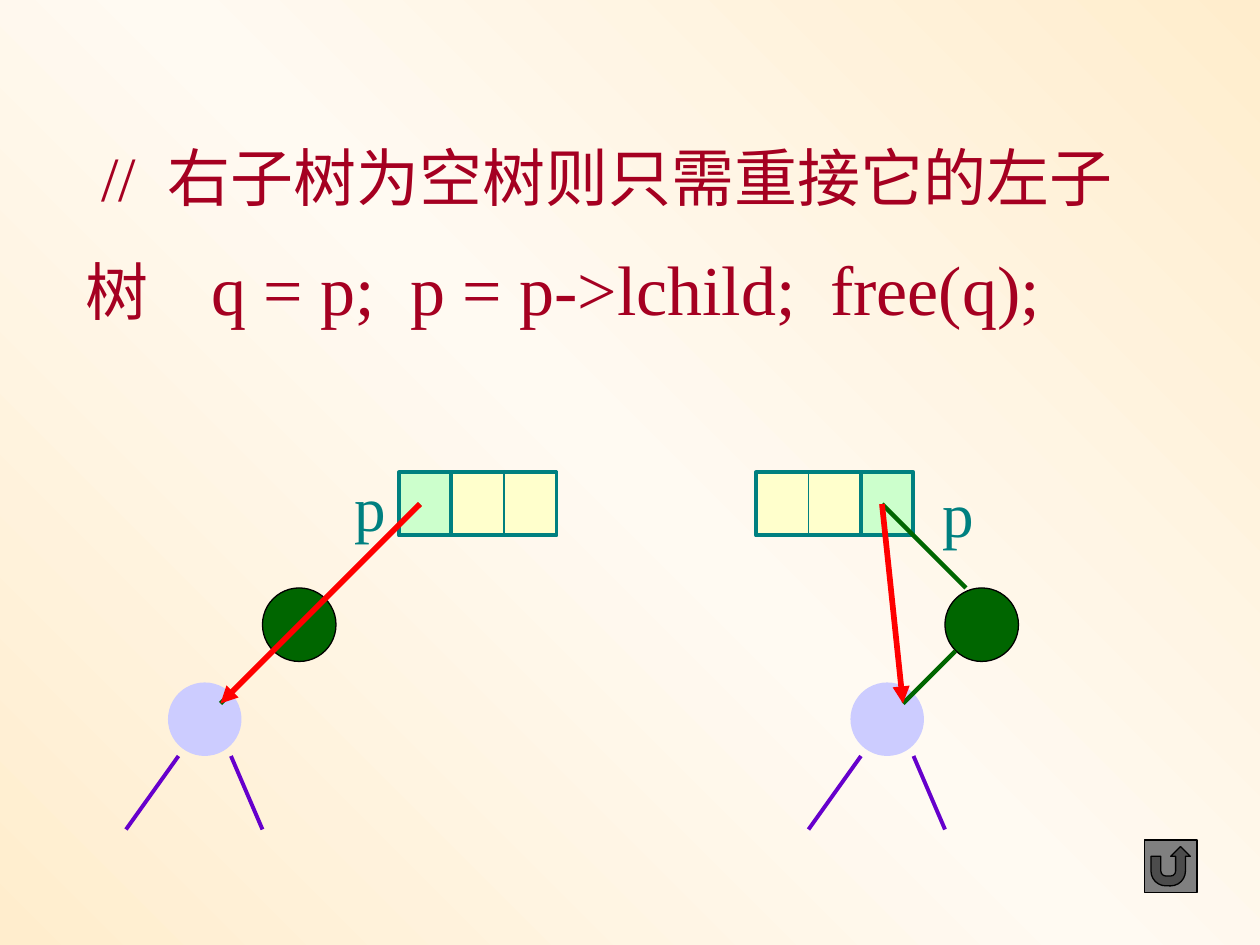
import copy
import pptx
import pptx.util
import pptx.dml.color
import pptx.enum.shapes
import pptx.enum.text
import pptx.oxml.ns
from lxml import etree

SHAPE = pptx.enum.shapes.MSO_SHAPE
FONT = "Times New Roman"
TEAL, GREEN, PURPLE, RED = "008080", "006600", "6600CC", "FF0000"
MAROON = "A50021"
UNIT = 1 / 12  # grid step in inches


def inch(value):
    return pptx.util.Inches(value)


def grid(value):
    return inch(value * UNIT)


def color(hex_string):
    return pptx.dml.color.RGBColor.from_string(hex_string)


def subelement(parent, tag, **attrs):
    return etree.SubElement(parent, pptx.oxml.ns.qn(tag), **attrs)


def add_box(s, kind, x, y, w, h, fill, line=None, width=0.75):
    sp = s.shapes.add_shape(kind, grid(x), grid(y), grid(w), grid(h))
    sp.shadow.inherit = False
    sp.fill.solid()
    sp.fill.fore_color.rgb = color(fill)
    if line:
        sp.line.color.rgb = color(line)
        sp.line.width = pptx.util.Pt(width)
    else:
        sp.line.fill.background()
    return sp


def add_line(s, x1, y1, x2, y2, line, width, arrow=False):
    c = s.shapes.add_connector(pptx.enum.shapes.MSO_CONNECTOR.STRAIGHT,
                               grid(x1), grid(y1), grid(x2), grid(y2))
    c.line.color.rgb = color(line)
    c.line.width = pptx.util.Pt(width)
    if arrow:
        subelement(c.line._get_or_add_ln(), "a:tailEnd", type="triangle")
    subelement(c._element.spPr, "a:effectLst")
    return c


def set_text(sp, text, size, hex_string, wrap=False):
    tf = sp.text_frame
    tf.word_wrap = wrap
    tf.auto_size = pptx.enum.text.MSO_AUTO_SIZE.NONE
    tf.vertical_anchor = pptx.enum.text.MSO_ANCHOR.TOP
    p = tf.paragraphs[0]
    p.text = text
    p.alignment = pptx.enum.text.PP_ALIGN.LEFT
    p.font.name = FONT
    p.font.size = pptx.util.Pt(size)
    p.font.color.rgb = color(hex_string)
    return p


def add_text(s, x, y, w, h, text, size, hex_string):
    sp = s.shapes.add_textbox(inch(x), inch(y), inch(w), inch(h))
    return set_text(sp, text, size, hex_string)


def paint_background(s):
    fill = s.background.fill
    fill.gradient()
    fill.gradient_angle = 45
    stops = fill.gradient_stops
    first = stops[0]._gs
    first.addnext(copy.deepcopy(first))
    for stop, pos, shade in zip(fill.gradient_stops, (0, 0.5, 1),
                                ("FFEDCD", "FFFAF2", "FFEDCD")):
        stop.position = pos
        stop.color.rgb = color(shade)


def add_heading(s, x, y, w, h):
    """Comment in the title, with the code on its second line."""
    title = s.shapes.title
    title.left, title.top, title.width, title.height = map(inch, (x, y, w, h))
    p = set_text(title, " //  右子树为空树则只需重接它的左子树", 36, MAROON, wrap=True)
    p.line_spacing = 1.5
    add_text(s, x + 1, y + 1.15, 6.79, 0.77,
             "q = p;  p = p->lchild;  free(q);", 40, MAROON)


def add_tree(s, x, y, pointer, pair, link_end, label):
    """Parent record, deleted node and its left subtree; grid units from x, y."""
    # Parent record: pointer field beside two other fields
    add_box(s, SHAPE.RECTANGLE, x + pointer, y, 5, 6, "CCFFCC", TEAL, 2.25)
    add_box(s, SHAPE.RECTANGLE, x + pair, y, 10, 6, "FFFFCC", TEAL, 2.25)
    add_line(s, x + pair + 5, y, x + pair + 5, y + 6, TEAL, 0.75)

    # Nodes and the branches under the subtree
    add_box(s, SHAPE.OVAL, x + 13, y + 11, 7, 7, GREEN, "000000")
    add_box(s, SHAPE.OVAL, x + 4, y + 20, 7, 7, "CCCCFF")
    for start, end in ((5, 0), (10, 13)):
        add_line(s, x + start, y + 27, x + end, y + 34, PURPLE, 2.25)

    # Old links, then the new link
    origin = x + pointer + 2
    add_line(s, x + 14, y + 17, x + 9, y + 22, GREEN, 2.5)
    add_line(s, origin, y + 3, x + link_end[0], y + link_end[1], GREEN, 2.5)
    add_line(s, origin, y + 3, x + 9, y + 22, RED, 3.25, arrow=True)

    # Pointer name
    add_text(s, (x + label[0]) * UNIT, (y + label[1]) * UNIT, 0.45, 0.7,
             "p", 36, TEAL)


def main():
    prs = pptx.Presentation()
    prs.slide_width, prs.slide_height = inch(10), inch(7.5)
    s = prs.slides.add_slide(prs.slide_layouts[5])
    paint_background(s)
    add_heading(s, 0.58, 0.75, 8.73, 1)
    # Node as left child, then as right child
    add_tree(s, 12, 45, pointer=26, pair=31, link_end=(19, 12), label=(20.6, -1))
    add_tree(s, 77, 45, pointer=5, pair=-5, link_end=(15, 11), label=(11.6, -0.4))
    # Return button
    add_box(s, SHAPE.ACTION_BUTTON_RETURN, 109, 80, 5, 5, "808080", "000000")
    prs.save("out.pptx")


if __name__ == "__main__":
    main()
